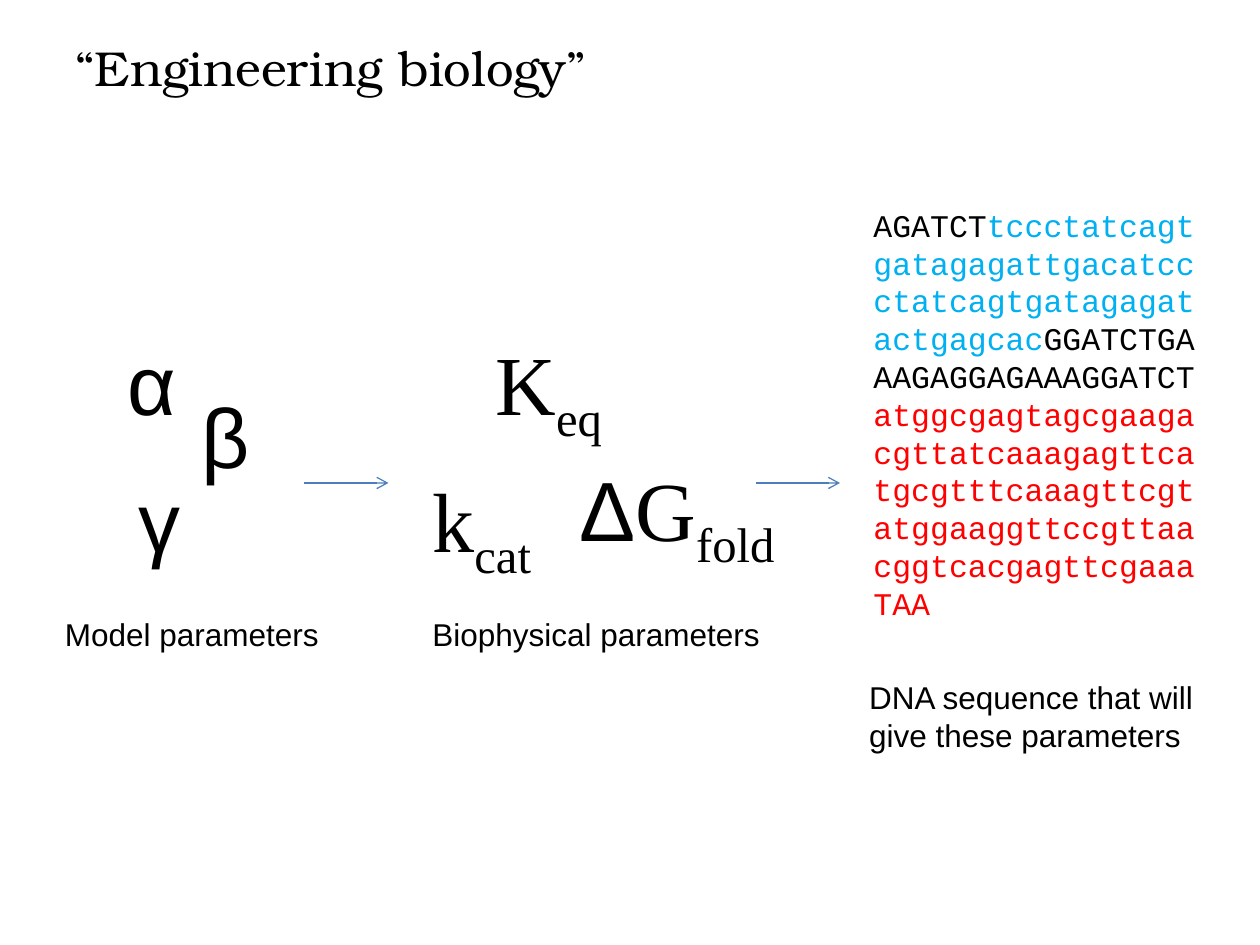
from lxml import etree
from pptx import Presentation
from pptx.dml.color import RGBColor
from pptx.enum.shapes import MSO_CONNECTOR as CONN
from pptx.enum.text import MSO_AUTO_SIZE as FIT
from pptx.oxml.ns import qn
from pptx.util import Inches, Pt

BLACK = RGBColor(0x00, 0x00, 0x00)
CYAN = RGBColor(0x00, 0xB0, 0xF0)
RED = RGBColor(0xFF, 0x00, 0x00)
BLUE = RGBColor(0x4B, 0x7E, 0xBC)

SANS, SERIF, MONO = "Arial", "Times New Roman", "Courier New"
TITLE_FONT = "TeX Gyre Bonum"

CELL = Inches(1) // 12  # the grid has 12 cells to the inch
SYMBOL_H, LABEL_H = 10.9, 4.8
SYMBOL_SIZE = 48
SUB = {"font": SERIF, "baseline": -25}

SEQUENCE = [
    ("AGATCT", {}),
    ("tccctatcagtgatagagattgacatccctatcagtgatagagatactgagcac", {"color": CYAN}),
    ("GGATCTGAAAGAGGAGAAAGGATCT", {}),
    ("atggcgagtagcgaagacgttatcaaagagttcatgcgtttcaaagttcgt"
     "atggaaggttccgttaacggtcacgagttcgaaaTAA", {"color": RED}),
]


def grid(*cells):
    return [round(c * CELL) for c in cells]


def add_text(slide, box, text, wrap=False, size=18, font=SANS, color=BLACK):
    """Add a text box; text is a string or a list of (string, run format) pairs."""
    tf = slide.shapes.add_textbox(*grid(*box)).text_frame
    tf.word_wrap = wrap
    tf.auto_size = FIT.SHAPE_TO_FIT_TEXT
    p = tf.paragraphs[0]
    for part, fmt in [(text, {})] if isinstance(text, str) else text:
        r = p.add_run()
        r.text = part
        r.font.size = Pt(size)
        r.font.name = fmt.get("font", font)
        r.font.color.rgb = fmt.get("color", color)
        if "baseline" in fmt:
            r.font._element.set("baseline", str(fmt["baseline"] * 1000))


def add_arrow(slide, x, y, length=8):
    line = slide.shapes.add_connector(CONN.STRAIGHT, *grid(x, y, x + length, y))
    line.line.color.rgb = BLUE
    line.line.width = Pt(0.75)
    etree.SubElement(line.line._get_or_add_ln(), qn("a:tailEnd"), type="arrow")
    etree.SubElement(line._element.spPr, qn("a:effectLst"))


def add_parameters(slide, box, symbols, label):
    """Scatter large symbols, given as (dx, dy, width, text), above a label."""
    x, y, w, h = box
    for dx, dy, width, text in symbols:
        add_text(slide, (x + dx, y + dy, width, SYMBOL_H), text, size=SYMBOL_SIZE)
    add_text(slide, (x, y + h - LABEL_H, w, LABEL_H), label)


def add_sequence(slide, box):
    x, y, w, h = box
    caption_h = 8.5
    add_text(slide, (x, y, w - 3, 41.2), SEQUENCE, wrap=True, font=MONO)
    add_text(slide, (x - 0.4, y + h - caption_h, w + 0.4, caption_h),
             "DNA sequence that will give these parameters", wrap=True)


def main():
    prs = Presentation()
    prs.slide_width, prs.slide_height = Inches(10), Inches(7.5)
    slide = prs.slides.add_slide(prs.slide_layouts[6])

    add_text(slide, (6, 3, 113, 6.8), "“Engineering biology”",
             wrap=True, size=28, font=TITLE_FONT)
    add_parameters(slide, (5, 31, 26.9, 31.8), [
        (6, 0, 7.6, "α"),
        (13, 5, 6.8, "β"),
        (7, 13, 5.8, "γ"),
    ], "Model parameters")
    add_parameters(slide, (40, 31, 33.8, 31.8), [
        (6, 0, 13.3, [("K", {"font": SERIF}), ("eq", SUB)]),
        (0, 13, 12.7, [("k", {"font": SERIF}), ("cat", SUB)]),
        (14, 12, 21.8, [("Δ", {}), ("G", {"font": SERIF}), ("fold", SUB)]),
    ], "Biophysical parameters")
    for x in (29, 72):
        add_arrow(slide, x, 46)
    add_sequence(slide, (82, 19, 36, 53.5))

    prs.save("out.pptx")


if __name__ == "__main__":
    main()
